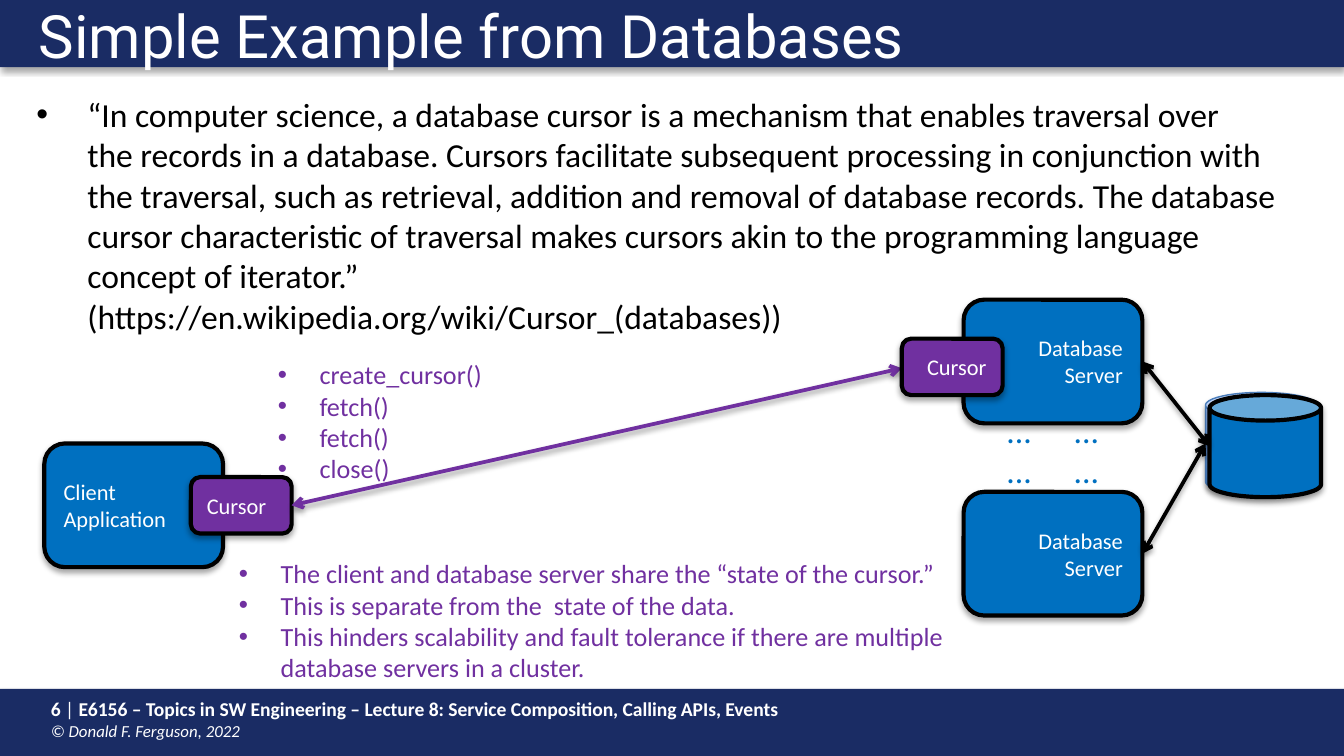
"""Build a slide on database cursors shared by a client and its servers."""
from copy import deepcopy
from dataclasses import dataclass

from lxml import etree
from pptx import Presentation
from pptx.dml.color import RGBColor
from pptx.enum.shapes import MSO_CONNECTOR, MSO_SHAPE
from pptx.enum.text import MSO_ANCHOR, MSO_AUTO_SIZE, PP_ALIGN
from pptx.oxml.ns import qn
from pptx.util import Inches, Pt

RECT, ROUND, CAN = MSO_SHAPE.RECTANGLE, MSO_SHAPE.ROUNDED_RECTANGLE, MSO_SHAPE.CAN
STRAIGHT = MSO_CONNECTOR.STRAIGHT
LEFT, RIGHT = PP_ALIGN.LEFT, PP_ALIGN.RIGHT
TOP, MIDDLE = MSO_ANCHOR.TOP, MSO_ANCHOR.MIDDLE
FIXED, GROW = MSO_AUTO_SIZE.NONE, MSO_AUTO_SIZE.SHAPE_TO_FIT_TEXT
WIDE = 10
TALL = WIDE * 9 / 16
BAR = 0.5
HARD = chr(160)


@dataclass(frozen=True)
class Theme:
    """Colours, fonts and type sizes."""
    navy: str = "1A2C64"
    blue: str = "0070C0"
    purple: str = "7030A0"
    black: str = "000000"
    white: str = "FFFFFF"
    dusk: str = "3F80CE"
    sky: str = "A4C4FF"
    rim: str = "4B7EBC"
    font: str = "Calibri"
    head: str = "Roboto"
    title: float = 32
    body: float = 18
    list: float = 14
    label: float = 12
    foot: float = 10.5
    note: float = 9


def paint(code):
    """Turn a hex code into a colour."""
    return RGBColor.from_string(code)


def node(parent, tag, **attrs):
    """Add an XML child with attributes."""
    return etree.SubElement(parent, qn(tag), {k: str(v) for k, v in attrs.items()})


def write(frame, lines, size, color, font, align=LEFT, anchor=TOP, fit=FIXED,
          wrap=True, indent=0, tab=0, spacing=None):
    """Fill a frame with lines, each a string or (text, format) pieces."""
    frame.word_wrap, frame.auto_size, frame.vertical_anchor = wrap, fit, anchor
    for i, line in enumerate(lines):
        para = frame.paragraphs[0] if i == 0 else frame.add_paragraph()
        props = para._p.get_or_add_pPr()
        if indent:
            props.set("marL", str(Inches(indent)))
            props.set("indent", str(-Inches(indent)))
            node(props, "a:buFont", typeface="Arial")
            node(props, "a:buChar", char="•")
        if tab:
            node(node(props, "a:tabLst"), "a:tab", pos=Inches(tab), algn="l")
        para.alignment, para.space_before = align, Pt(0)
        if spacing:
            para.line_spacing = spacing
        for text, form in ([(line, {})] if isinstance(line, str) else line):
            for j, part in enumerate(text.split("\n")):
                if j:
                    para.add_line_break()
                run = para.add_run()
                run.text = part
                run.font.name, run.font.size = font, Pt(form.get("size", size))
                run.font.color.rgb = paint(color)
                run.font.bold = form.get("bold", False)
                run.font.italic = form.get("italic", False)
        for gap in para._p.findall(qn("a:br")):
            gap.insert(0, deepcopy(para.runs[0]._r.rPr))


class Board:
    """Holds the style and the current slide."""

    def __init__(self, slide, theme):
        self.slide, self.theme = slide, theme

    def cast(self, item, alpha, drop):
        """Give an item a soft shadow below it."""
        props = item._element.spPr
        for old in props.findall(qn("a:effectLst")):
            props.remove(old)
        shade = node(node(props, "a:effectLst"), "a:outerShdw", blurRad=Pt(3.1),
                     dist=Pt(drop), dir=5400000, rotWithShape=0)
        tint = node(shade, "a:srgbClr", val=self.theme.black)
        node(tint, "a:alpha", val=alpha * 1000)

    def shape(self, kind, box, fill, line=None, width=2.25, text=None, align=LEFT):
        """Add a filled shape; a pair of fills makes a gradient."""
        item = self.slide.shapes.add_shape(kind, *map(Inches, box))
        if isinstance(fill, tuple):
            item.fill.gradient()
            item.fill.gradient_angle = 90
            for stop, code in zip(item.fill.gradient_stops, fill):
                stop.color.rgb = paint(code)
        else:
            item.fill.solid()
            item.fill.fore_color.rgb = paint(fill)
        if line:
            item.line.color.rgb = paint(line)
            item.line.width = Pt(width)
        else:
            item.line.fill.background()
        item.shadow.inherit = False
        self.cast(item, 35, 1.8)
        if text:
            write(item.text_frame, [text], self.theme.label, self.theme.white,
                  self.theme.font, align=align, anchor=MIDDLE)

    def block(self, left, top, text, align):
        """Add a blue box for a program."""
        self.shape(ROUND, (left, top, 1.33, 0.92), self.theme.blue,
                   self.theme.black, text=text, align=align)

    def cursor(self, left, top, align):
        """Add a purple cursor box."""
        self.shape(ROUND, (left, top, 0.75, 0.42), self.theme.purple,
                   self.theme.black, text="Cursor", align=align)

    def arrow(self, start, end, color):
        """Add a line with an arrowhead at each end."""
        item = self.slide.shapes.add_connector(
            STRAIGHT, *map(Inches, (*start, *end)))
        item.line.color.rgb = paint(color)
        item.line.width = Pt(2)
        for tag in ("a:headEnd", "a:tailEnd"):
            node(item.line._get_or_add_ln(), tag, type="arrow")
        self.cast(item, 38, 1.6)

    def text(self, box, lines, size, color, **form):
        """Add a text box."""
        item = self.slide.shapes.add_textbox(*map(Inches, box))
        write(item.text_frame, lines, size, color, self.theme.font, fit=GROW, **form)

    def holder(self, index, box, lines, size, color, font, **form):
        """Place and fill a template placeholder above the bars."""
        item = self.slide.placeholders[index]
        item.left, item.top, item.width, item.height = map(Inches, box)
        self.slide.shapes._spTree.append(item._element)
        write(item.text_frame, lines, size, color, font, **form)


def main():
    """Draw the slide and save it."""
    deck = Presentation()
    deck.slide_width, deck.slide_height = Inches(WIDE), Inches(TALL)
    theme = Theme()
    board = Board(deck.slides.add_slide(deck.slide_layouts[1]), theme)

    board.shape(RECT, (0, TALL - BAR, WIDE, BAR), theme.navy)
    bold = {"bold": True}
    board.text((0.28, 5.14, 7.42, 0.43), [
        [("6 ", bold), ("|", {}),
         (" E6156 – Topics in SW Engineering – Lecture 8: "
          "Service Composition, Calling APIs, Events", bold)],
        [("© Donald F. Ferguson, 2022", {"size": theme.note, "italic": True})],
    ], theme.foot, theme.white)
    board.shape(RECT, (0, 0, WIDE, BAR), theme.navy)

    quote = (
        "“In~computer science, a~database~cursor~is a mechanism that enables"
        "~traversal~over the~records~in a database. Cursors facilitate subsequent "
        "processing in conjunction with the traversal, such as retrieval, addition "
        "and removal of database records. The database cursor characteristic of "
        "traversal makes cursors akin to the programming language concept of"
        "~iterator.”\n(https://en.wikipedia.org/wiki/Cursor_(databases))"
    ).replace("~", HARD)
    board.holder(1, (0.17, 0.65, 9.67, 4.42), [quote],
                 theme.body, theme.black, theme.font, indent=0.38)
    board.holder(0, (0.19, 0, 9.48, 0.48), ["Simple Example from Databases"],
                 theme.title, theme.white, theme.head, spacing=0.9)

    board.block(0.33, 3.3, "Client\nApplication", LEFT)
    board.cursor(1.42, 3.55, LEFT)
    for top in (3.66, 2.23):
        board.block(7.17, top, "Database\nServer", RIGHT)
    board.text((7.39, 3, 0.9, 0.71), ["...\t..."] * 2, theme.body, theme.blue,
               wrap=False, tab=0.5)
    board.arrow((2.17, 3.76), (6.71, 2.74), theme.purple)

    board.shape(CAN, (8.97, 2.92, 0.83, 0.76), (theme.dusk, theme.sky),
                theme.rim, 0.75)
    board.shape(CAN, (9, 2.94, 0.83, 0.76), theme.blue, theme.black)
    board.arrow((8.5, 2.69), (9, 3.32), theme.black)
    board.arrow((8.5, 4.12), (8.97, 3.3), theme.black)

    board.text((1.97, 2.62, 1.74, 1.04),
               ["create_cursor()", "fetch()", "fetch()", "close()"],
               theme.list, theme.purple, wrap=False, indent=0.31)
    board.cursor(6.71, 2.52, RIGHT)
    board.text((1.68, 4.1, 5.53, 1.04), [
        "The client and database server share the “state of the cursor.”",
        "This is separate from the  state of the data.",
        "This hinders scalability and fault tolerance if there are multiple "
        "database servers in a cluster.",
    ], theme.list, theme.purple, indent=0.31)
    deck.save("out.pptx")


if __name__ == "__main__":
    main()
